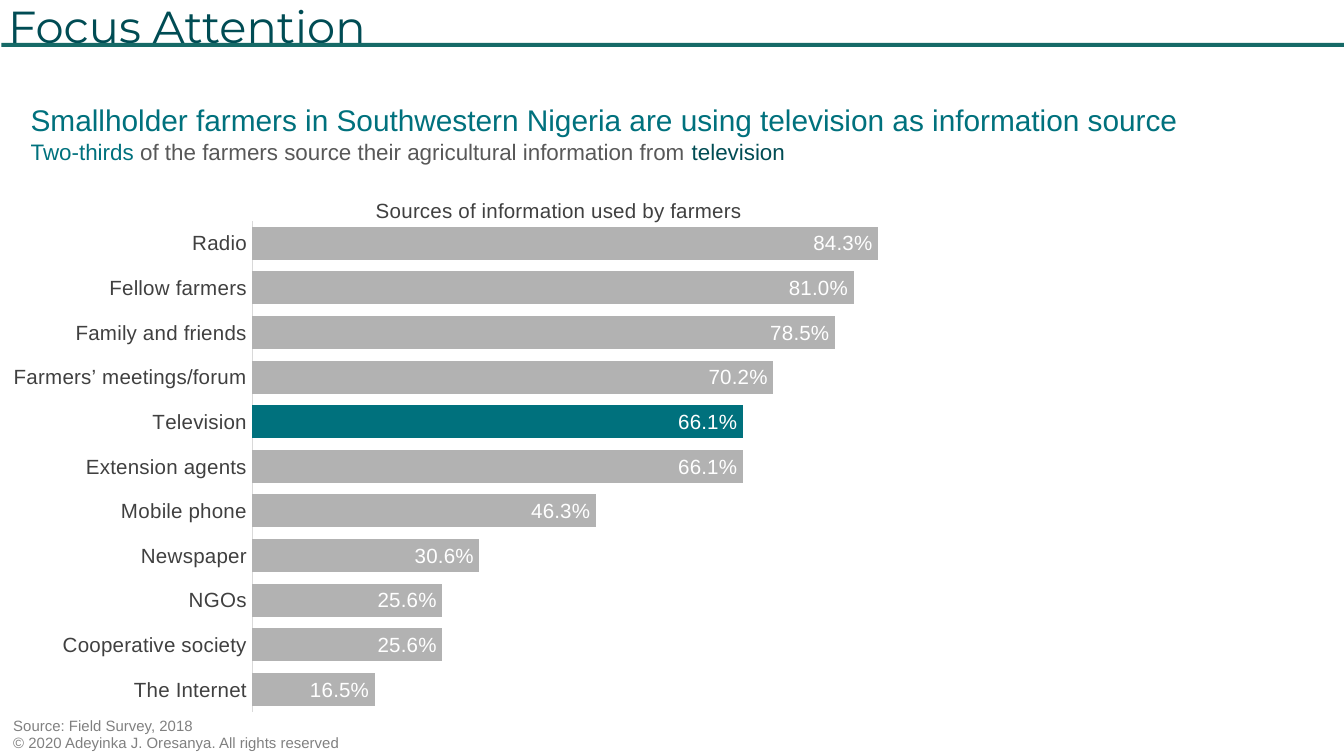
from pptx import Presentation
from pptx.chart.data import CategoryChartData
from pptx.dml.color import RGBColor
from pptx.enum.chart import XL_CHART_TYPE, XL_LABEL_POSITION, XL_TICK_LABEL_POSITION, XL_TICK_MARK
from pptx.enum.shapes import MSO_SHAPE
from pptx.enum.text import MSO_ANCHOR, MSO_AUTO_SIZE, PP_ALIGN
from pptx.oxml import parse_xml
from pptx.oxml.ns import nsdecls, qn
from pptx.util import Inches, Pt

BARS = XL_CHART_TYPE.BAR_CLUSTERED
INSIDE = XL_LABEL_POSITION.INSIDE_END
BESIDE = XL_TICK_LABEL_POSITION.NEXT_TO_AXIS
NO_TICK = XL_TICK_MARK.NONE
RECT = MSO_SHAPE.RECTANGLE
TOP = MSO_ANCHOR.TOP
NO_FIT = MSO_AUTO_SIZE.NONE
LEFT = PP_ALIGN.LEFT

DARK = RGBColor(0x00, 0x4C, 0x54)
TEAL = RGBColor(0x00, 0x71, 0x7D)
RULE = RGBColor(0x16, 0x6A, 0x67)
INK = RGBColor(0x40, 0x40, 0x40)
SLATE = RGBColor(0x58, 0x58, 0x58)
GREY = RGBColor(0x80, 0x80, 0x80)
SILVER = RGBColor(0xB2, 0xB2, 0xB2)
PALE = RGBColor(0xD9, 0xD9, 0xD9)
WHITE = RGBColor(0xFF, 0xFF, 0xFF)

WIDTH = 10
HEIGHT = WIDTH * 9 / 16
SOURCES = {
    "Radio": 0.843,
    "Fellow farmers": 0.81,
    "Family and friends": 0.785,
    "Farmers’ meetings/forum": 0.702,
    "Television": 0.661,
    "Extension agents": 0.661,
    "Mobile phone": 0.463,
    "Newspaper": 0.306,
    "NGOs": 0.256,
    "Cooperative society": 0.256,
    "The Internet": 0.165,
}
FOCUS = "Television"
HEADLINE = [
    [("Smallholder farmers in Southwestern Nigeria are using television as information source", 16, TEAL)],
    [("Two-thirds ", 12, TEAL),
     ("of the farmers source their agricultural information from ", 12, SLATE),
     ("television", 12, DARK)],
]
FOOTER = [
    [("Source: Field Survey, 2018", 8, GREY)],
    [("© 2020 Adeyinka J. Oresanya. All rights reserved", 8, GREY)],
]


def style(item, **values):
    """Set each given attribute on an item."""
    for name, value in values.items():
        setattr(item, name, value)


def ink(font, size, color, name="Arial"):
    """Give a font its face, size and colour."""
    style(font, name=name, size=Pt(size), bold=False)
    font.color.rgb = color


def paint(shape, color):
    """Fill a chart or slide part with one colour."""
    shape.fill.solid()
    shape.fill.fore_color.rgb = color


def pin(node, index, **places):
    """Fix a chart part at fractions of the chart area."""
    for old in node.findall(qn("c:layout")):
        node.remove(old)
    parts = "".join(f'<c:{key} val="{value}"/>' for key, value in places.items())
    node.insert(index, parse_xml(
        f'<c:layout {nsdecls("c")}><c:manualLayout>{parts}</c:manualLayout></c:layout>'))


def add_head(slide, left, top, width, height):
    """Place the slide title and the rule beneath it."""
    title = slide.shapes.title
    style(title, left=Inches(left), top=Inches(top), width=Inches(width), height=Inches(height))
    frame = title.text_frame
    frame.text = "Focus Attention"
    style(frame, vertical_anchor=TOP, auto_size=NO_FIT, word_wrap=True)
    line = frame.paragraphs[0]
    line.alignment = LEFT
    ink(line.runs[0].font, 24, DARK, "Montserrat")
    rule = slide.shapes.add_shape(
        RECT, Inches(left + 0.05), Inches(top + 0.38), Inches(WIDTH), Inches(0.03))
    rule.shadow.inherit = False
    paint(rule, RULE)
    rule.line.fill.background()


def add_text(slide, lines, *box):
    """Place a text box with one paragraph for each list of runs."""
    frame = slide.shapes.add_textbox(*map(Inches, box)).text_frame
    frame.word_wrap = True
    for index, parts in enumerate(lines):
        line = frame.add_paragraph() if index else frame.paragraphs[0]
        for text, size, color in parts:
            run = line.add_run()
            run.text = text
            ink(run.font, size, color)


def add_bars(slide, *box):
    """Place the bar chart of sources, with one bar in focus."""
    data = CategoryChartData(number_format="0.0%")
    data.categories = list(SOURCES)
    data.add_series("Series 1", list(SOURCES.values()))
    chart = slide.shapes.add_chart(BARS, *map(Inches, box), data).chart
    style(chart, has_legend=False, has_title=True)
    ink(chart.font, 11, INK)

    title = chart.chart_title
    title.include_in_layout = False
    title.text_frame.text = "Sources of information used by farmers"
    ink(title.text_frame.paragraphs[0].runs[0].font, 11, INK)
    pin(title._element, 1, xMode="edge", yMode="edge", x=0.4, y=0.05)
    area = chart._chartSpace.find(".//" + qn("c:plotArea"))
    pin(area, 0, layoutTarget="inner", xMode="edge", yMode="edge",
        x=0.28, y=0.1, w=0.67, h=0.88)

    names = chart.category_axis
    style(names, reverse_order=True, major_tick_mark=NO_TICK, minor_tick_mark=NO_TICK,
          tick_label_position=BESIDE, has_major_gridlines=False)
    ink(names.tick_labels.font, 11, INK)
    names.format.line.color.rgb = PALE
    names.format.line.width = Pt(0.75)
    style(chart.value_axis, minimum_scale=0, maximum_scale=0.9,
          has_major_gridlines=False, visible=False)

    plot = chart.plots[0]
    style(plot, gap_width=35, vary_by_categories=False)
    series = plot.series[0]
    series.invert_if_negative = False
    paint(series.format, SILVER)
    paint(series.points[list(SOURCES).index(FOCUS)].format, TEAL)
    labels = series.data_labels
    style(labels, show_value=True, position=INSIDE,
          number_format="0.0%", number_format_is_linked=False)
    ink(labels.font, 11, WHITE)


def main():
    """Build the slide and save it."""
    deck = Presentation()
    style(deck, slide_width=Inches(WIDTH), slide_height=Inches(HEIGHT))
    slide = deck.slides.add_slide(deck.slide_layouts[5])
    add_head(slide, -0.04, -0.06, 8.32, 0.5)
    add_bars(slide, -0.2, 1.23, 7.42, 4.15)
    add_text(slide, HEADLINE, 0.13, 0.71, 8.96, 0.57)
    add_text(slide, FOOTER, 0, 5.28, 7.62, 0.37)
    deck.save("out.pptx")


if __name__ == "__main__":
    main()
